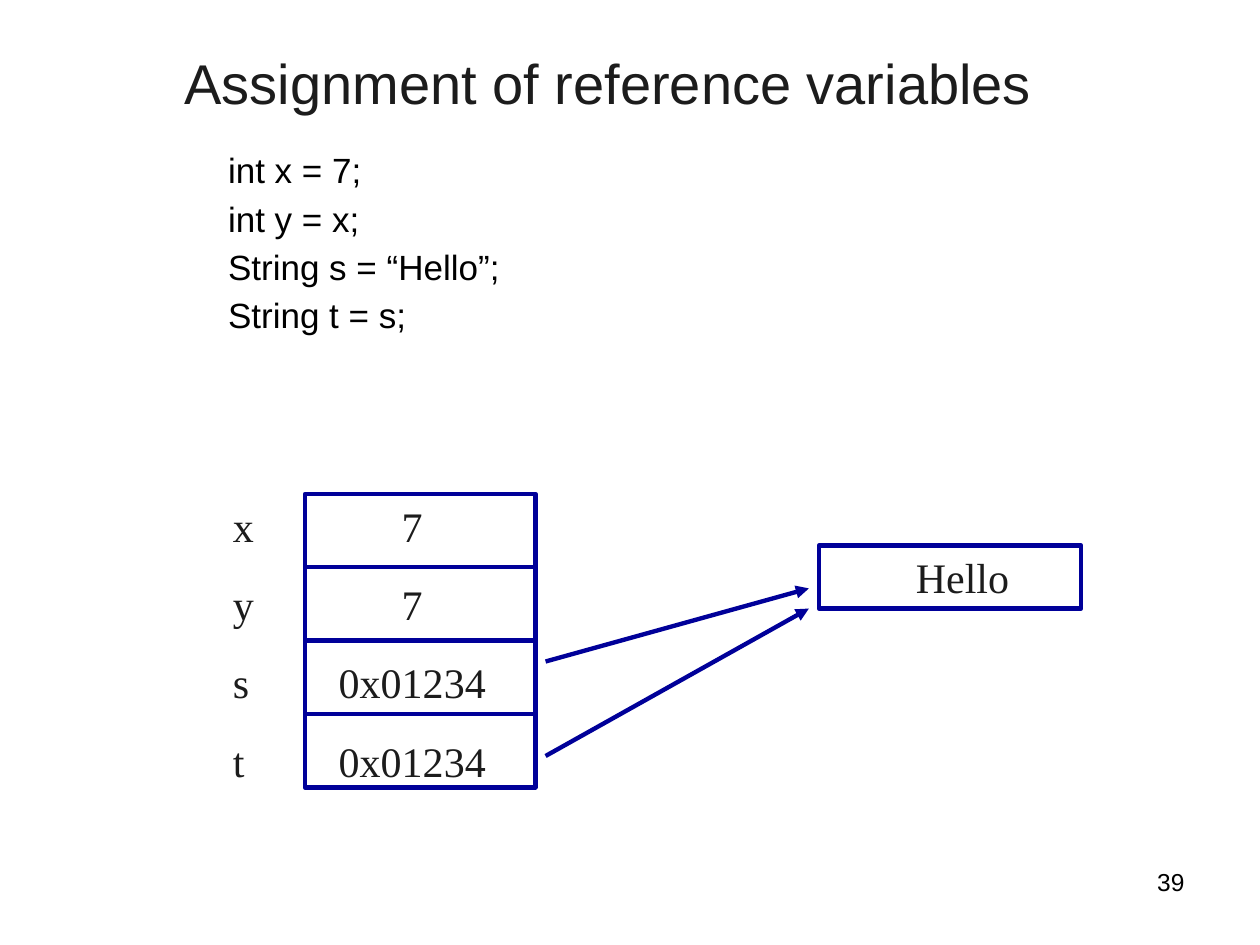
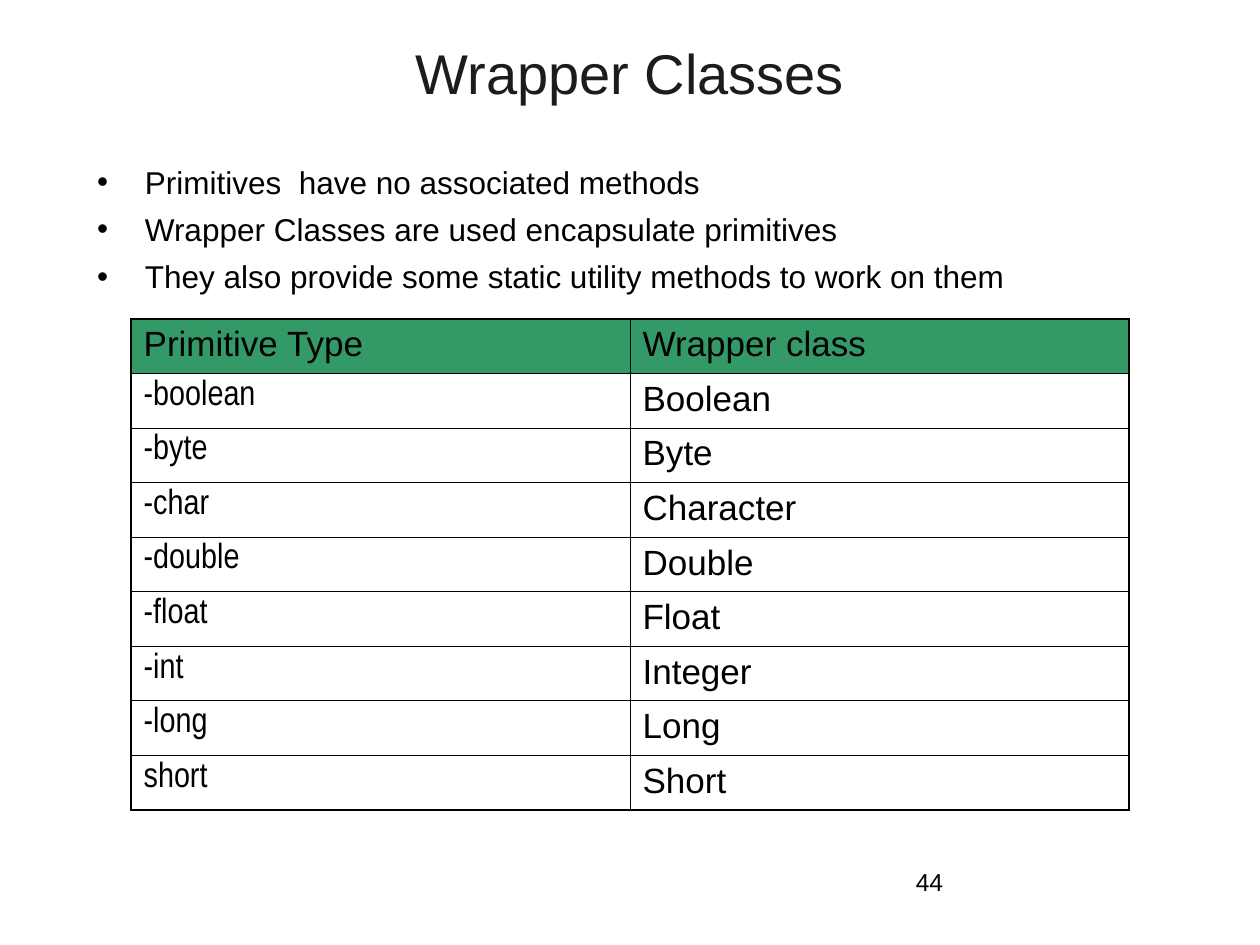
from pptx import Presentation
from pptx.dml.color import RGBColor
from pptx.enum import shapes, text
from pptx.oxml import parse_xml
from pptx.oxml import ns
from pptx.util import Inches, Pt

BLACK = RGBColor(0x00, 0x00, 0x00)
CHARCOAL = RGBColor(0x1C, 0x1C, 0x1C)
NAVY = RGBColor(0x00, 0x00, 0x99)
GREEN = RGBColor(0x33, 0x99, 0x66)

LINE_WIDTH = Pt(2.5)
OUTER_BORDER, INNER_BORDER = Pt(1.08), Pt(0.45)
ALIGN = text.PP_ALIGN

TITLE = dict(name="Arial", size=Pt(32), color=CHARCOAL)
NUMBER = dict(name="Arial", size=Pt(14), color=BLACK)
CODE = dict(name="Arial", size=Pt(20), color=BLACK)
BULLET = dict(CODE, size=Pt(18))
NARROW = dict(CODE, name="Arial Narrow")
MEMORY = dict(name="Times New Roman", size=Pt(24), color=CHARCOAL)

CODE_LINES = ["int x = 7;", "int y = x;", "String s = “Hello”;", "String t = s;"]
VARIABLES = [("x", "7"), ("y", "7"), ("s", "0x01234"), ("t", "0x01234")]
BULLETS = [
    "Primitives  have no associated methods",
    "Wrapper Classes are used encapsulate primitives",
    "They also provide some static utility methods to work on them",
]
WRAPPERS = [
    ("Primitive Type", "Wrapper class"),
    ("-boolean", "Boolean"),
    ("-byte", "Byte"),
    ("-char", "Character"),
    ("-double", "Double"),
    ("-float", "Float"),
    ("-int", "Integer"),
    ("-long", "Long"),
    ("short", "Short"),
]


def xml(tag, attributes="", inner=""):
    return parse_xml(f"<a:{tag} {ns.nsdecls('a')} {attributes}>{inner}</a:{tag}>")


def write(frame, lines, font, indents=None, hanging=0, **para_format):
    """Fill a text frame with one paragraph per line, each with its left indent."""
    frame.word_wrap = True
    frame.auto_size = text.MSO_AUTO_SIZE.NONE
    for index, line in enumerate(lines):
        para = frame.paragraphs[0] if index == 0 else frame.add_paragraph()
        for name, value in para_format.items():
            setattr(para, name, value)
        if indents:
            properties = para._p.get_or_add_pPr()
            properties.set("marL", str(Inches(indents[index])))
            properties.set("indent", str(-Inches(hanging)))
        span = para.add_run()
        span.text = line
        for name, value in font.items():
            if name == "color":
                span.font.color.rgb = value
            else:
                setattr(span.font, name, value)


def inches(box):
    return [Inches(length) for length in box]


def place(shape, box):
    for name, value in zip(("left", "top", "width", "height"), inches(box)):
        setattr(shape, name, value)


def add_text(page, box, lines, font, **para_format):
    write(page.shapes.add_textbox(*inches(box)).text_frame, lines, font, **para_format)


def add_page(deck, title, title_box, number, number_align):
    page = deck.slides.add_slide(deck.slide_layouts[1])
    heading = page.shapes.title
    place(heading, title_box)
    heading.text_frame.vertical_anchor = text.MSO_ANCHOR.MIDDLE
    write(heading.text_frame, [title], TITLE, alignment=ALIGN.CENTER)
    add_text(page, (7.17, 6.83, 2.33, 0.52), [number], NUMBER, alignment=number_align)
    return page


def fill_body(page, box, lines, font, hanging, **para_format):
    body = page.placeholders[1]
    place(body, box)
    write(body.text_frame, lines, font, [0.38] * len(lines), hanging, **para_format)
    return body


def add_line(page, start, end, arrow=False):
    line = page.shapes.add_connector(
        shapes.MSO_CONNECTOR.STRAIGHT, *inches(start), *inches(end))
    line.line.color.rgb = NAVY
    line.line.width = LINE_WIDTH
    if arrow:
        line.line._get_or_add_ln().append(xml("tailEnd", 'type="triangle"'))
    line._element.spPr.append(xml("effectLst"))


def add_memory_box(page, box, lines, indents):
    cell = page.shapes.add_shape(shapes.MSO_SHAPE.RECTANGLE, *inches(box))
    cell.shadow.inherit = False
    cell.fill.background()
    cell.line.color.rgb = NAVY
    cell.line.width = LINE_WIDTH
    cell.text_frame.vertical_anchor = text.MSO_ANCHOR.TOP
    write(cell.text_frame, lines, MEMORY, indents,
          alignment=ALIGN.LEFT, space_before=Pt(16))


def add_stack(page, box):
    """Draw the variables as stacked cells, with their names on the left."""
    left, top, width, height = box
    names, values = zip(*VARIABLES)
    add_memory_box(page, box, values,
                   [0.67 if len(value) == 1 else 0.17 for value in values])
    for index in range(1, len(values)):
        y = top + height * index / len(values)
        add_line(page, (left, y), (left + width, y))
    add_text(page, (left - 0.67, top, 0.42, height), names, MEMORY,
             space_before=Pt(16))


def reference_page(deck):
    page = add_page(deck, "Assignment of reference variables",
                    (0.58, 0.37, 8.5, 0.56), "39", ALIGN.RIGHT)
    code = fill_body(page, (1.33, 1.17, 7.23, 1.97), CODE_LINES, CODE, 0,
                     line_spacing=0.9, space_before=Pt(6))
    for para in code.text_frame.paragraphs:
        para._p.get_or_add_pPr().append(xml("buNone"))
    add_stack(page, (2.42, 3.92, 1.83, 2.33))
    add_memory_box(page, (6.5, 4.33, 2.08, 0.5), ["Hello"], [0.67])
    for start_y, end_y in ((5.25, 4.67), (6, 4.83)):
        add_line(page, (4.33, start_y), (6.42, end_y), arrow=True)


def add_borders(cell, outer_sides):
    for side in "LRTB":
        width = OUTER_BORDER if side in outer_sides else INNER_BORDER
        cell._tc.get_or_add_tcPr().append(xml(
            f"ln{side}", f'w="{width}"',
            f'<a:solidFill><a:srgbClr val="{BLACK}"/></a:solidFill>'))


def add_wrapper_table(page, box):
    last_row = len(WRAPPERS) - 1
    table = page.shapes.add_table(len(WRAPPERS), 2, *inches(box)).table
    table.first_row = table.horz_banding = False
    for row, labels in enumerate(WRAPPERS):
        for column, label in enumerate(labels):
            cell = table.cell(row, column)
            write_font = NARROW if row and column == 0 else CODE
            write(cell.text_frame, [label], write_font, space_before=Pt(5))
            add_borders(cell, "LR"[column] + {0: "T", last_row: "B"}.get(row, ""))
            if row == 0:
                cell.fill.solid()
                cell.fill.fore_color.rgb = GREEN
            else:
                cell.fill.background()


def wrapper_page(deck):
    page = add_page(deck, "Wrapper Classes", (0.5, 0.3, 9, 0.54), "44", ALIGN.LEFT)
    fill_body(page, (0.67, 1.24, 8, 1.33), BULLETS, BULLET, 0.38,
              space_before=Pt(5.5))
    add_wrapper_table(page, (1.04, 2.53, 7.92, 3.9))


def main():
    deck = Presentation()
    deck.slide_width, deck.slide_height = Inches(10), Inches(7.5)
    reference_page(deck)
    wrapper_page(deck)
    deck.save("out.pptx")


if __name__ == "__main__":
    main()
